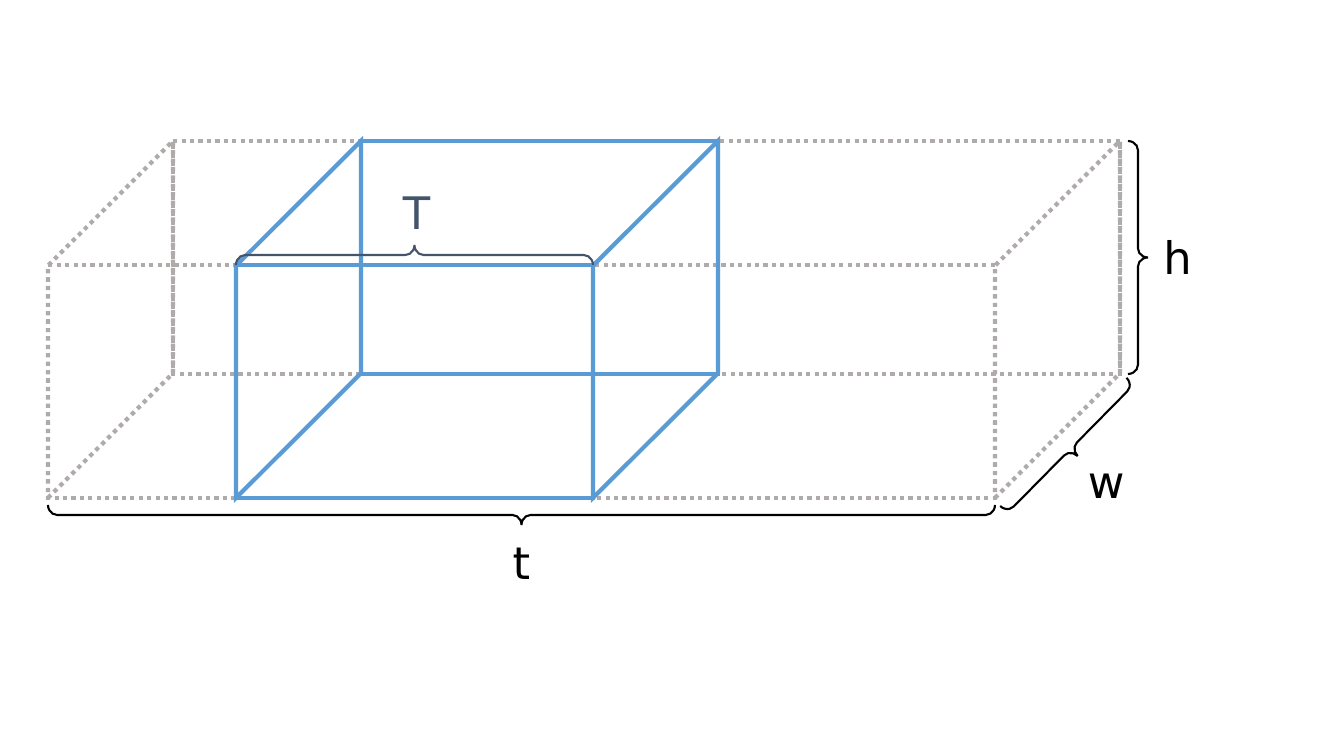
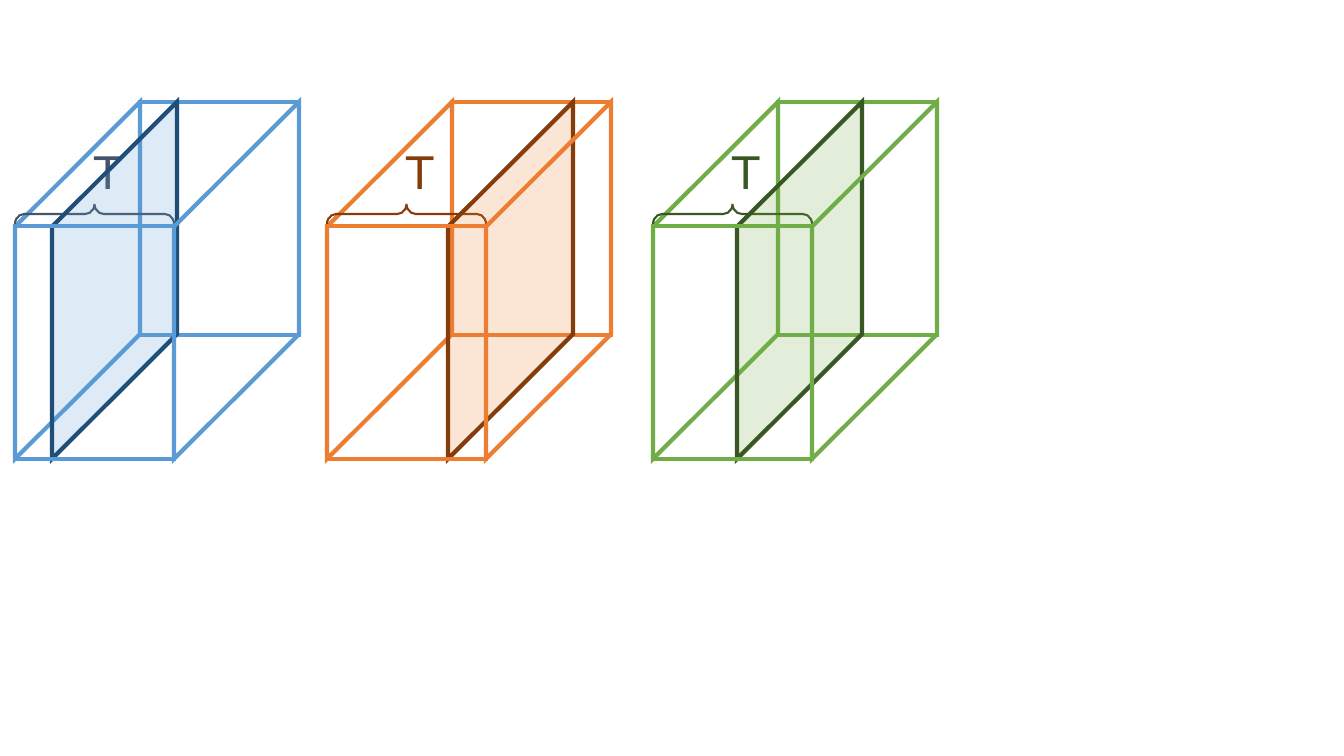
from typing import NamedTuple

from lxml.etree import SubElement
from pptx import Presentation
from pptx.dml.color import RGBColor
from pptx.enum.dml import MSO_LINE
from pptx.enum.shapes import MSO_SHAPE
from pptx.enum.text import MSO_AUTO_SIZE, PP_ALIGN
from pptx.oxml.ns import qn
from pptx.util import Emu, Pt

# Shared scale, colours and text style
PIXEL = 914400 / 100.8
FONT = "DejaVu Sans"
BLACK = RGBColor(0x00, 0x00, 0x00)
GRAY = RGBColor(0xAF, 0xAB, 0xAB)
SLATE = RGBColor(0x44, 0x54, 0x6A)
BLUE = RGBColor(0x5B, 0x9B, 0xD5)
DARK_BLUE = RGBColor(0x1F, 0x4E, 0x79)
ORANGE = RGBColor(0xED, 0x7D, 0x31)
BROWN = RGBColor(0x84, 0x3C, 0x0B)
GREEN = RGBColor(0x70, 0xAD, 0x47)
DARK_GREEN = RGBColor(0x38, 0x57, 0x23)

# Size of every cuboid and brace, in pixels
HEIGHT = 233
DEPTH = 125
RISE = 124
BRACE_WIDTH = 20


class Cuboid(NamedTuple):
    """Left and top of the front face, and the length of the cuboid."""
    left: int
    top: int
    length: int

    @property
    def middle(self):
        return self.left + self.length / 2

    @property
    def right(self):
        return self.left + self.length

    @property
    def bottom(self):
        return self.top + HEIGHT


def emu(pixels):
    return Emu(round(pixels * PIXEL))


def add_outline(slide, kind, box, color, width=3, dash=None, fill=None,
                adjustments=(), rotation=0):
    shape = slide.shapes.add_shape(kind, *map(emu, box))
    shape.shadow.inherit = False
    shape.rotation = rotation
    for index, value in enumerate(adjustments):
        shape.adjustments[index] = value
    shape.line.color.rgb = color
    shape.line.width = Pt(width)
    if dash:
        shape.line.dash_style = dash
    # Sharp corners
    line = shape.element.spPr.find(qn("a:ln"))
    SubElement(line, qn("a:miter"), lim="800000")
    if fill is None:
        shape.fill.background()
    else:
        shape.fill.solid()
        shape.fill.fore_color.rgb = fill
        tint = shape.element.spPr.find(qn("a:solidFill"))[0]
        SubElement(tint, qn("a:alpha"), val="20000")
    return shape


def add_label(slide, text, middle, top, color=BLACK, width=43, height=65, size=32):
    box = slide.shapes.add_textbox(
        *map(emu, (middle - width / 2, top, width, height)))
    frame = box.text_frame
    frame.word_wrap = True
    frame.auto_size = MSO_AUTO_SIZE.SHAPE_TO_FIT_TEXT
    paragraph = frame.paragraphs[0]
    paragraph.alignment = PP_ALIGN.CENTER
    run = paragraph.add_run()
    run.text = text
    run.font.name = FONT
    run.font.size = Pt(size)
    run.font.color.rgb = color


def add_brace(slide, middle_x, middle_y, length, rotation=0, color=BLACK):
    box = (middle_x - BRACE_WIDTH / 2, middle_y - length / 2, BRACE_WIDTH, length)
    add_outline(slide, MSO_SHAPE.RIGHT_BRACE, box, color, width=1.5,
                adjustments=(0.456, 0.5), rotation=rotation)


# Faces of a cuboid
def add_front(slide, cuboid, color, dash=None):
    box = (cuboid.left, cuboid.top, cuboid.length, HEIGHT)
    add_outline(slide, MSO_SHAPE.RECTANGLE, box, color, dash=dash)


def add_back(slide, cuboid, color, dash=None):
    add_front(slide, Cuboid(cuboid.left + DEPTH, cuboid.top - RISE, cuboid.length),
              color, dash)


def add_cross_section(slide, cuboid, offset, color, dash=None, fill=None):
    span = HEIGHT + RISE
    middle_x = cuboid.left + offset + DEPTH / 2
    middle_y = cuboid.bottom - span / 2
    box = (middle_x - span / 2, middle_y - DEPTH / 2, span, DEPTH)
    shape = add_outline(slide, MSO_SHAPE.PARALLELOGRAM, box, color, dash=dash,
                        fill=fill, adjustments=(0.998,), rotation=270)
    shape.element.spPr.get_or_add_xfrm().set("flipV", "1")


def add_cuboid(slide, cuboid, color, dash=None):
    add_back(slide, cuboid, color, dash)
    for offset in (0, cuboid.length):
        add_cross_section(slide, cuboid, offset, color, dash)
    add_front(slide, cuboid, color, dash)


def add_window_length(slide, cuboid, color, gap, label_gap, label_width):
    add_brace(slide, cuboid.middle, cuboid.top - gap, cuboid.length, 270, color)
    add_label(slide, "T", cuboid.middle, cuboid.top - label_gap, color, label_width)


def add_dimensions(slide, cuboid):
    # Length t
    add_brace(slide, cuboid.middle, cuboid.bottom + 17, cuboid.length, 90)
    add_label(slide, "t", cuboid.middle, cuboid.bottom + 32)
    # Width w along the sloping edge
    edge_x = cuboid.right + DEPTH / 2
    edge_y = cuboid.bottom - RISE / 2
    add_brace(slide, edge_x + 13, edge_y + 13, 180, 44.6)
    add_label(slide, "w", edge_x + 42, edge_y + 13)
    # Height h
    back_right = cuboid.right + DEPTH
    back_middle = cuboid.top - RISE + HEIGHT / 2
    add_brace(slide, back_right + 18, back_middle, HEIGHT)
    add_label(slide, "h", back_right + 55, back_middle - 33)


def build_volume_slide(slide):
    volume = Cuboid(48, 265, 947)
    window = Cuboid(236, 265, 357)
    add_cuboid(slide, volume, GRAY, MSO_LINE.ROUND_DOT)
    add_dimensions(slide, volume)
    add_cuboid(slide, window, BLUE)
    add_window_length(slide, window, SLATE, gap=10, label_gap=85, label_width=43)


def add_sliced_cuboid(slide, cuboid, offset, color, dark, label_color):
    add_back(slide, cuboid, color)
    add_cross_section(slide, cuboid, 0, color)
    add_window_length(slide, cuboid, label_color, gap=12, label_gap=86, label_width=19)
    add_cross_section(slide, cuboid, offset, dark, fill=color)
    add_front(slide, cuboid, color)
    add_cross_section(slide, cuboid, cuboid.length, color)


def build_slices_slide(slide):
    for left, offset, color, dark, label_color in (
            (15, 37, BLUE, DARK_BLUE, SLATE),
            (327, 121, ORANGE, BROWN, BROWN),
            (653, 84, GREEN, DARK_GREEN, DARK_GREEN)):
        add_sliced_cuboid(slide, Cuboid(left, 226, 159), offset, color, dark,
                          label_color)


presentation = Presentation()
presentation.slide_width = emu(1344)
presentation.slide_height = emu(756)
blank_layout = presentation.slide_layouts[6]
for build in (build_volume_slide, build_slices_slide):
    build(presentation.slides.add_slide(blank_layout))
presentation.save("out.pptx")
